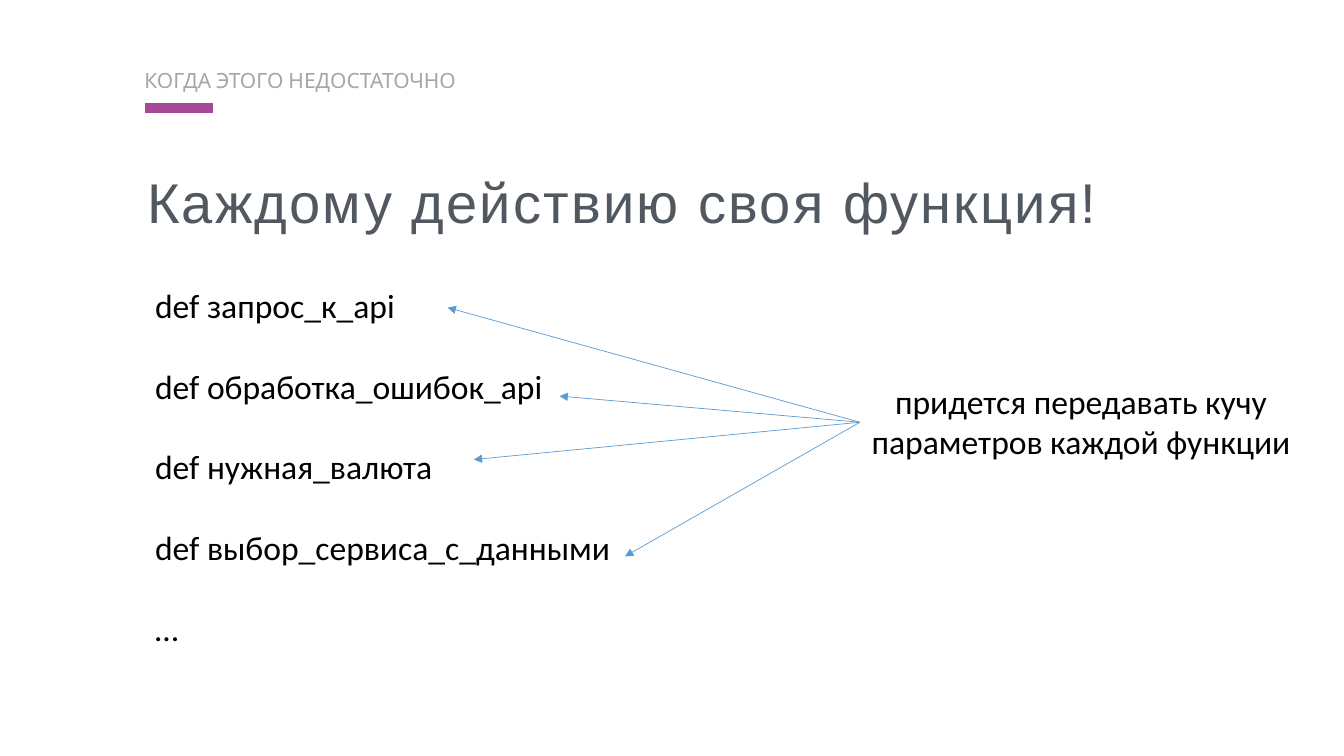
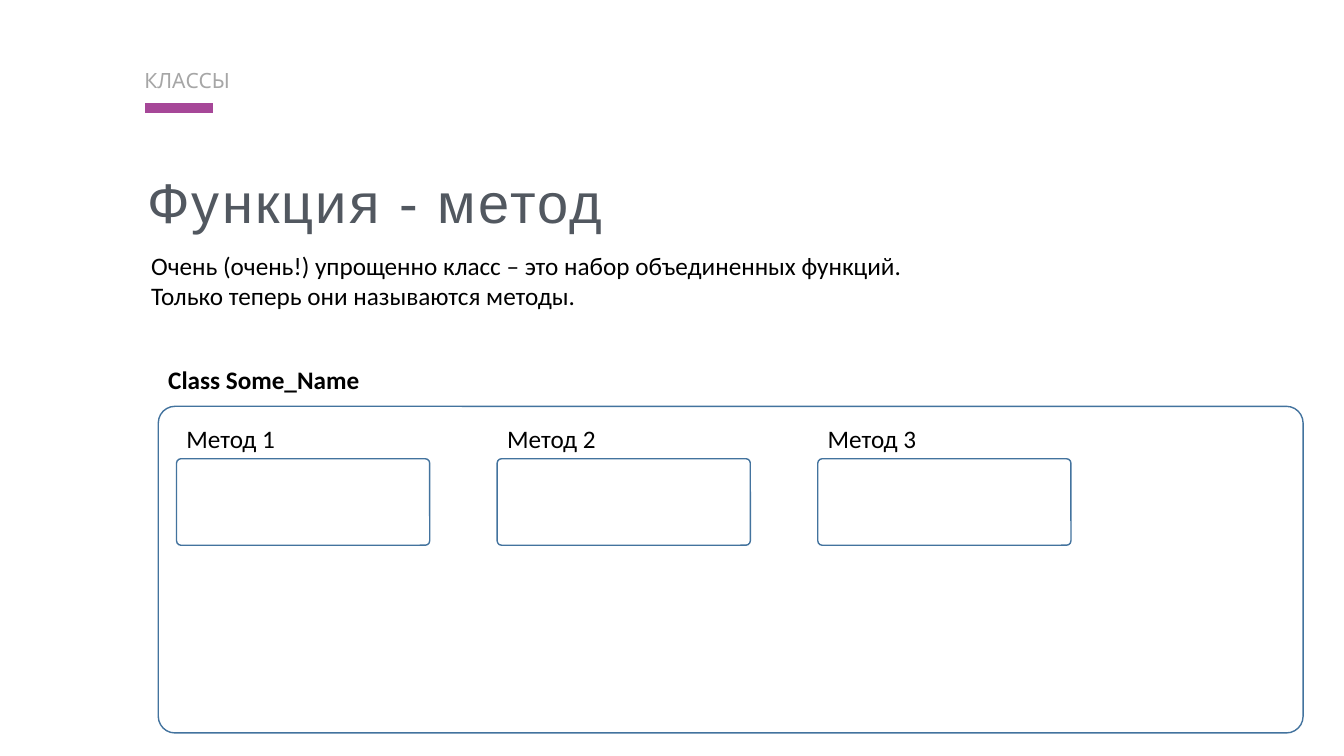
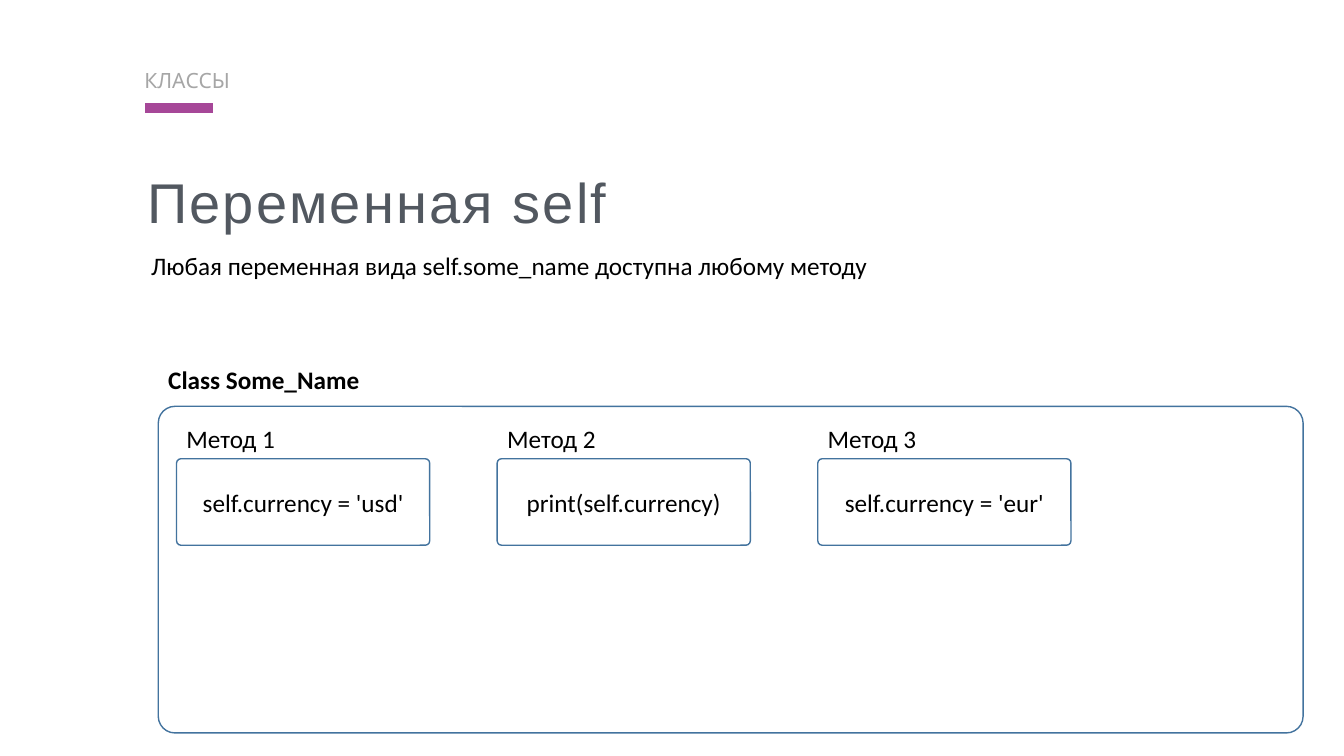
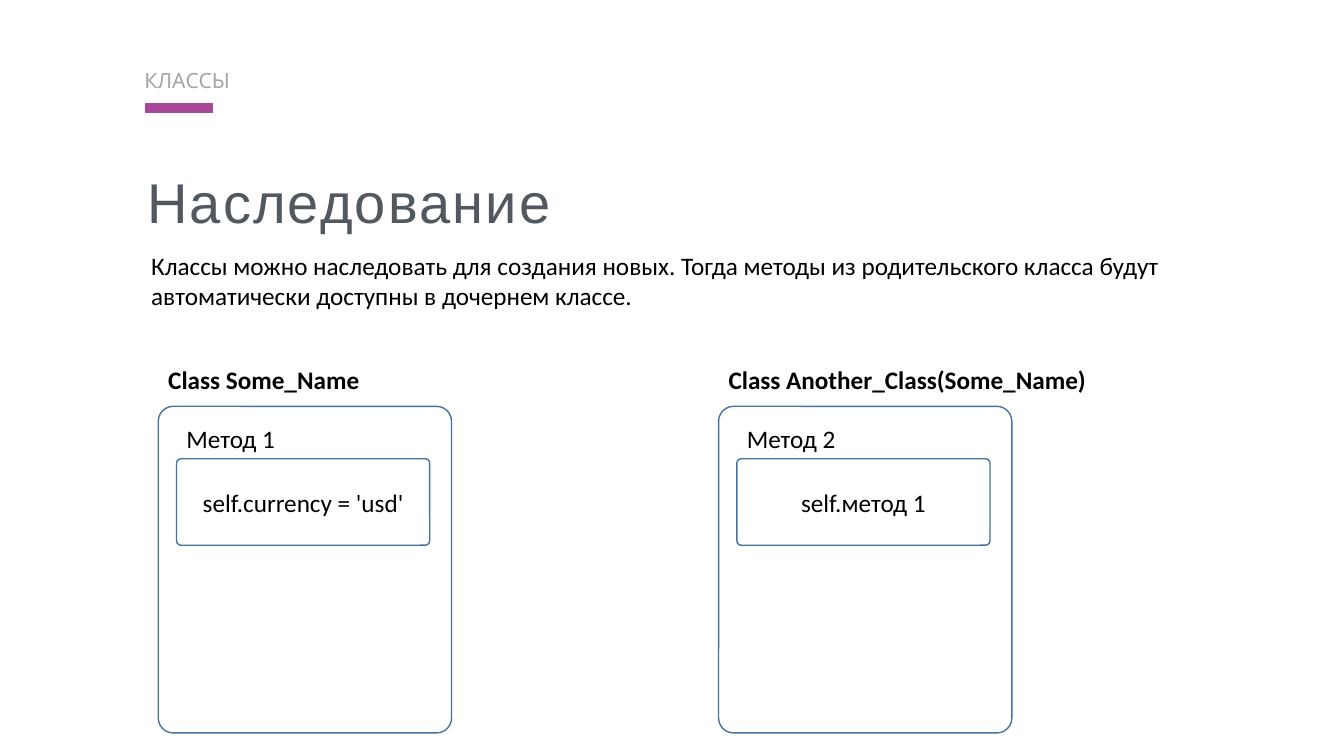
"""Builds four slides that lead from plain functions to classes and inheritance."""
from dataclasses import dataclass

from pptx import Presentation
from pptx.dml.color import RGBColor
from pptx.enum.shapes import MSO_CONNECTOR as Connector, MSO_SHAPE as Preset
from pptx.enum.text import MSO_ANCHOR as Anchor, MSO_AUTO_SIZE as AutoSize, PP_ALIGN as Align
from pptx.oxml.ns import qn
from pptx.shapes.autoshape import Shape
from pptx.slide import Slide
from pptx.util import Cm, Pt
from lxml.etree import SubElement


@dataclass(frozen=True)
class TextStyle:
    font: str
    size: float
    color: str
    bold: bool = False
    tracking: float = 0
    line_spacing: float = 1.0
    space_before: float = 0
    align: Align = Align.LEFT
    inset: tuple[float, float] = (0.25, 0.13)


@dataclass(frozen=True)
class Theme:
    accent: str = "A64798"
    arrow: str = "5B9BD5"
    outline: str = "43739E"
    kicker: TextStyle = TextStyle("Karla", 15, "A6A6A6", line_spacing=1.3, inset=(0.08, 0.08))
    title: TextStyle = TextStyle("Arial", 40, "525860", tracking=1.6, line_spacing=1.3,
                                 inset=(0.15, 0.15))
    body: TextStyle = TextStyle("Calibri", 18, "000000")
    class_name: TextStyle = TextStyle("Calibri", 18, "000000", bold=True)
    code: TextStyle = TextStyle("Calibri", 18, "000000", align=Align.CENTER)
    functions: TextStyle = TextStyle("Calibri", 24, "000000", space_before=29)
    remark: TextStyle = TextStyle("Calibri", 24, "000000", align=Align.CENTER)


@dataclass(frozen=True)
class Box:
    left: float
    top: float
    width: float
    height: float

    def lengths(self) -> tuple[Cm, Cm, Cm, Cm]:
        return Cm(self.left), Cm(self.top), Cm(self.width), Cm(self.height)


@dataclass(frozen=True)
class Method:
    name: str
    code: str = ""


@dataclass(frozen=True)
class ClassFrame:
    name: str
    left: float
    width: float
    label_width: float
    methods: tuple[Method, ...]


@dataclass(frozen=True)
class ClassSlide:
    title: str
    body: tuple[str, ...]
    frames: tuple[ClassFrame, ...]


THEME = Theme()
KICKER_BOX = Box(3.56, 1.42, 26.9, 0.89)
TITLE_BOX = Box(3.56, 3.56, 29.79, 2.29)
BODY_BOX = Box(3.56, 6.17, 29.29, 1.8)
FRAME_TOP, FRAME_HEIGHT = 10.24, 8.23
CLASS_LABEL_TOP, METHOD_LABEL_TOP, LABEL_HEIGHT = 9.04, 10.54, 1.02
METHOD_INDENT, METHOD_PITCH, METHOD_LABEL_WIDTH = 0.46, 8.08, 2.77
METHOD_TOP, METHOD_WIDTH, METHOD_HEIGHT = 11.56, 6.38, 2.18
CORNER = 0.051

FUNCTIONS = ("def запрос_к_api", "def обработка_ошибок_api", "def нужная_валюта",
             "def выбор_сервиса_с_данными", "…")
ARROW_START = (21.67, 10.64)
ARROW_ENDS = ((11.28, 7.75), (14.1, 9.98), (11.94, 11.58), (15.75, 14.02))

CLASS_SLIDES = (
    ClassSlide(
        "Функция - метод",
        ("Очень (очень!) упрощенно класс – это набор объединенных функций.",
         "Только теперь они называются методы."),
        (ClassFrame("Class Some_Name", 3.99, 28.85, 5.36,
                    (Method("Метод 1"), Method("Метод 2"), Method("Метод 3"))),)),
    ClassSlide(
        "Переменная self",
        ("Любая переменная вида self.some_name доступна любому методу",),
        (ClassFrame("Class Some_Name", 3.99, 28.85, 5.36,
                    (Method("Метод 1", "self.currency = 'usd'"),
                     Method("Метод 2", "print(self.currency)"),
                     Method("Метод 3", "self.currency = 'eur'"))),)),
    ClassSlide(
        "Наследование",
        ("Классы можно наследовать для создания новых. Тогда методы из родительского "
         "класса будут автоматически доступны в дочернем классе.",),
        (ClassFrame("Class Some_Name", 3.99, 7.39, 5.36,
                    (Method("Метод 1", "self.currency = 'usd'"),)),
         ClassFrame("Class Another_Class(Some_Name)", 18.11, 7.39, 9.6,
                    (Method("Метод 2", "self.метод 1"),)))),
)


def write(shape: Shape, lines: tuple[str, ...], style: TextStyle, wrap: bool = True,
          anchor: Anchor = Anchor.TOP, auto_size: AutoSize = AutoSize.SHAPE_TO_FIT_TEXT) -> None:
    frame = shape.text_frame
    frame.word_wrap = wrap
    frame.auto_size = auto_size
    frame.vertical_anchor = anchor
    frame.margin_left = frame.margin_right = Cm(style.inset[0])
    frame.margin_top = frame.margin_bottom = Cm(style.inset[1])
    for index, line in enumerate(lines):
        paragraph = frame.add_paragraph() if index else frame.paragraphs[0]
        paragraph.alignment = style.align
        paragraph.line_spacing = style.line_spacing
        if index:
            paragraph.space_before = Pt(style.space_before)
        run = paragraph.add_run()
        run.text = line
        run.font.name = style.font
        run.font.size = Pt(style.size)
        run.font.bold = style.bold
        run.font.color.rgb = RGBColor.from_string(style.color)
        if style.tracking:
            run._r.get_or_add_rPr().set("spc", str(round(style.tracking * 100)))


def add_text(slide: Slide, box: Box, lines: tuple[str, ...], style: TextStyle,
             wrap: bool = True) -> None:
    write(slide.shapes.add_textbox(*box.lengths()), lines, style, wrap)


def add_line(slide: Slide, start: tuple[float, float], end: tuple[float, float],
             color: str, width: float, arrow: bool = False) -> None:
    points = (Cm(value) for value in (*start, *end))
    connector = slide.shapes.add_connector(Connector.STRAIGHT, *points)
    connector.line.color.rgb = RGBColor.from_string(color)
    connector.line.width = Pt(width)
    if arrow:
        SubElement(connector.line._get_or_add_ln(), qn("a:tailEnd"), type="triangle")
    SubElement(connector._element.spPr, qn("a:effectLst"))


def add_outline(slide: Slide, box: Box, code: str = "") -> None:
    shape = slide.shapes.add_shape(Preset.ROUNDED_RECTANGLE, *box.lengths())
    shape.adjustments[0] = CORNER
    shape.shadow.inherit = False
    shape.fill.background()
    shape.line.color.rgb = RGBColor.from_string(THEME.outline)
    shape.line.width = Pt(1)
    if code:
        write(shape, (code,), THEME.code, anchor=Anchor.MIDDLE, auto_size=AutoSize.NONE)


def add_class(slide: Slide, frame: ClassFrame) -> None:
    add_outline(slide, Box(frame.left, FRAME_TOP, frame.width, FRAME_HEIGHT))
    add_text(slide, Box(frame.left, CLASS_LABEL_TOP, frame.label_width, LABEL_HEIGHT),
             (frame.name,), THEME.class_name, wrap=False)
    for index, method in enumerate(frame.methods):
        left = frame.left + METHOD_INDENT + index * METHOD_PITCH
        add_outline(slide, Box(left, METHOD_TOP, METHOD_WIDTH, METHOD_HEIGHT), method.code)
        add_text(slide, Box(left, METHOD_LABEL_TOP, METHOD_LABEL_WIDTH, LABEL_HEIGHT),
                 (method.name,), THEME.body, wrap=False)


def add_slide(presentation: Presentation, kicker: str, title: str) -> Slide:
    slide = presentation.slides.add_slide(presentation.slide_layouts[5])
    heading = slide.shapes.title
    heading.left, heading.top, heading.width, heading.height = TITLE_BOX.lengths()
    write(heading, (title,), THEME.title)
    add_line(slide, (3.66, 2.72), (5.38, 2.72), THEME.accent, 7)
    add_text(slide, KICKER_BOX, (kicker,), THEME.kicker)
    return slide


def add_functions_slide(presentation: Presentation) -> None:
    slide = add_slide(presentation, "КОГДА ЭТОГО НЕДОСТАТОЧНО", "Каждому действию своя функция!")
    add_text(slide, Box(3.66, 7.04, 12.12, 9.5), FUNCTIONS, THEME.functions, wrap=False)
    add_text(slide, Box(21.67, 9.47, 11.15, 2.31),
             ("придется передавать кучу параметров каждой функции",), THEME.remark)
    for end in ARROW_ENDS:
        add_line(slide, ARROW_START, end, THEME.arrow, 0.5, arrow=True)


def main() -> None:
    presentation = Presentation()
    presentation.slide_width, presentation.slide_height = Cm(33.87), Cm(19.05)
    add_functions_slide(presentation)
    for content in CLASS_SLIDES:
        slide = add_slide(presentation, "КЛАССЫ", content.title)
        add_text(slide, BODY_BOX, content.body, THEME.body)
        for frame in content.frames:
            add_class(slide, frame)
    presentation.save("out.pptx")


if __name__ == "__main__":
    main()
